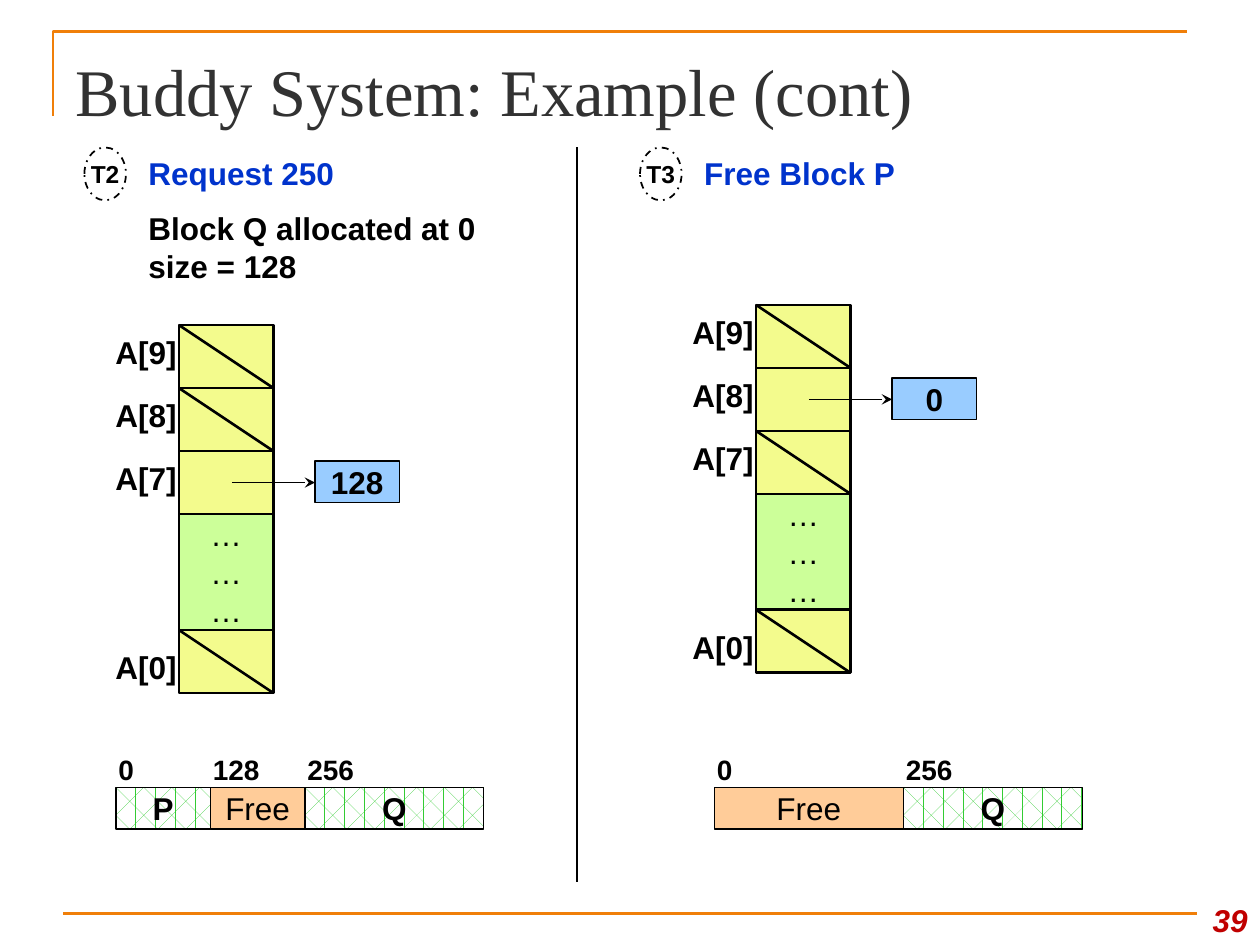
from lxml import etree
from pptx import Presentation
from pptx.dml.color import RGBColor
from pptx.enum.dml import MSO_LINE, MSO_PATTERN
from pptx.enum.shapes import MSO_CONNECTOR, MSO_SHAPE
from pptx.enum.text import MSO_ANCHOR, PP_ALIGN
from pptx.oxml.ns import qn
from pptx.util import Inches, Pt

BLACK = RGBColor(0x00, 0x00, 0x00)
WHITE = RGBColor(0xFF, 0xFF, 0xFF)
ORANGE = RGBColor(0xF0, 0x7F, 0x09)
TITLE_GRAY = RGBColor(0x32, 0x32, 0x32)
NUMBER_RED = RGBColor(0xC0, 0x00, 0x00)
EVENT_BLUE = RGBColor(0x00, 0x33, 0xCC)
CELL_YELLOW = RGBColor(0xF3, 0xFB, 0x8D)
GAP_GREEN = RGBColor(0xCC, 0xFF, 0x99)
BLOCK_BLUE = RGBColor(0x99, 0xCC, 0xFF)
FREE_PEACH = RGBColor(0xFF, 0xCC, 0x99)
USED_GREEN = RGBColor(0x33, 0xCC, 0x33)

RECTANGLE, OVAL = MSO_SHAPE.RECTANGLE, MSO_SHAPE.OVAL
STRAIGHT = MSO_CONNECTOR.STRAIGHT
DASH_DOT = MSO_LINE.DASH_DOT
DIVOT = MSO_PATTERN.DIVOT
TOP, MIDDLE, BOTTOM = MSO_ANCHOR.TOP, MSO_ANCHOR.MIDDLE, MSO_ANCHOR.BOTTOM
LEFT, CENTER, RIGHT = PP_ALIGN.LEFT, PP_ALIGN.CENTER, PP_ALIGN.RIGHT

CELL_WIDTH, CELL_HEIGHT = 0.75, 0.5
LABEL_HEIGHT = 0.42
BLOCK_HEIGHT = 0.33
MEMORY_TOP = 6.25


def style_paragraph(paragraph, size, color=BLACK, bold=True, align=LEFT, font_name="Arial"):
    """Set the alignment and font of a paragraph."""
    paragraph.alignment = align
    font = paragraph.font
    font.name, font.size, font.bold = font_name, Pt(size), bold
    font.color.rgb = color


def add_text(slide, box, lines, size=18, align=LEFT, anchor=TOP):
    """Add a wrapping text box from (text, color) lines and return its paragraphs."""
    frame = slide.shapes.add_textbox(*map(Inches, box)).text_frame
    frame.word_wrap = True
    frame.vertical_anchor = anchor
    for index, (text, color) in enumerate(lines):
        paragraph = frame.add_paragraph() if index else frame.paragraphs[0]
        paragraph.text = text
        style_paragraph(paragraph, size, color, align=align)
        if index:
            paragraph.space_before = Pt(10)
    return frame.paragraphs


def add_block(slide, box, fill, text="", size=18, bold=True, width=0.75, kind=RECTANGLE):
    """Add an outlined shape with centred text."""
    shape = slide.shapes.add_shape(kind, *map(Inches, box))
    shape.shadow.inherit = False
    shape.fill.solid()
    shape.fill.fore_color.rgb = fill
    shape.line.color.rgb = BLACK
    shape.line.width = Pt(width)
    if text:
        frame = shape.text_frame
        frame.word_wrap = False
        frame.vertical_anchor = MIDDLE
        frame.paragraphs[0].text = text
        style_paragraph(frame.paragraphs[0], size, bold=bold, align=CENTER)
    return shape


def add_line(slide, start, end, width=0.75, color=BLACK, arrow=False):
    """Add a straight line, with an arrowhead at its end if asked."""
    line = slide.shapes.add_connector(STRAIGHT, *map(Inches, (*start, *end)))
    line.line.color.rgb = color
    line.line.width = Pt(width)
    if arrow:
        etree.SubElement(line.line._get_or_add_ln(), qn("a:tailEnd"), type="stealth")
    etree.SubElement(line._element.spPr, qn("a:effectLst"))


def add_frame(slide):
    """Add the corner rule, the bottom rule and the slide number."""
    builder = slide.shapes.build_freeform(Inches(0.42), Inches(0.92), scale=1.0)
    corner = [(Inches(0.42), Inches(0.25)), (Inches(9.42), Inches(0.25))]
    builder.add_line_segments(corner, close=False)
    rule = builder.convert_to_shape()
    rule.shadow.inherit = False
    rule.fill.background()
    rule.line.color.rgb = ORANGE
    rule.line.width = Pt(1.5)
    add_line(slide, (0.5, 7.25), (9.5, 7.25), 1.5, ORANGE)
    number = add_text(slide, (9.42, 7, 0.58, 0.5), [("39", NUMBER_RED)], align=RIGHT, anchor=BOTTOM)
    number[0].font.italic = True


def add_title(slide, text):
    """Place and format the title."""
    title = slide.shapes.title
    title.left, title.top, title.width, title.height = map(Inches, (0.5, 0.3, 9, 0.78))
    title.text_frame.text = text
    title.text_frame.vertical_anchor = BOTTOM
    style_paragraph(title.text_frame.paragraphs[0], 38, TITLE_GRAY, False,
                    font_name="Times New Roman")


def add_event(slide, left, step, lines, height):
    """Add a step marker and the description of its event."""
    marker = add_block(slide, (left, 1.17, 0.33, 0.42), WHITE, step, 14, width=1, kind=OVAL)
    marker.line.dash_style = DASH_DOT
    add_text(slide, (left + 0.41, 1.17, 3.75, height), lines)


def add_free_lists(slide, left, top, used_name, address):
    """Add the array of free lists, where one entry points to a block."""
    add_block(slide, (left, top + 1.5, CELL_WIDTH, 0.92), GAP_GREEN, "…\n…\n…",
              bold=False, width=1.5)
    entries = [("A[9]", 0, 0), ("A[8]", 0.5, 0.5), ("A[7]", 1, 1), ("A[0]", 2.42, 2.5)]
    for name, cell_offset, label_offset in entries:
        y = top + cell_offset
        add_block(slide, (left, y, CELL_WIDTH, CELL_HEIGHT), CELL_YELLOW, width=1.5)
        add_text(slide, (left - 0.67, top + label_offset, CELL_WIDTH, LABEL_HEIGHT),
                 [(name, BLACK)], align=RIGHT, anchor=MIDDLE)
        if name == used_name:
            middle = y + CELL_HEIGHT / 2
            add_line(slide, (left + 0.42, middle), (left + 1.08, middle), arrow=True)
            add_block(slide, (left + 1.08, y + 0.08, 0.67, BLOCK_HEIGHT), BLOCK_BLUE, address)
        else:
            add_line(slide, (left, y), (left + CELL_WIDTH, y + CELL_HEIGHT), 1.5)


def add_memory(slide, left, blocks):
    """Add the row of memory blocks with their start addresses."""
    for address, name, width in blocks:
        is_free = name == "Free"
        block = add_block(slide, (left, MEMORY_TOP, width, BLOCK_HEIGHT), FREE_PEACH,
                          name, bold=not is_free)
        if not is_free:
            block.fill.patterned()
            block.fill.pattern = DIVOT
            block.fill.fore_color.rgb = USED_GREEN
            block.fill.back_color.rgb = WHITE
        add_text(slide, (left - 0.08, 5.92, 0.75, 0.37), [(address, BLACK)], 16)
        left += width


def main():
    """Build the slide and save it."""
    presentation = Presentation()
    presentation.slide_width, presentation.slide_height = Inches(10), Inches(7.5)
    slide = presentation.slides.add_slide(presentation.slide_layouts[5])
    add_frame(slide)
    add_title(slide, "Buddy System: Example (cont)")
    add_line(slide, (4.58, 1.17), (4.58, 7))

    request = [("Request 250", EVENT_BLUE), ("Block Q allocated at 0\nsize = 128", BLACK)]
    add_event(slide, 0.67, "T2", request, 1.15)
    add_free_lists(slide, 1.42, 2.58, "A[7]", "128")
    add_memory(slide, 0.92, [("0", "P", 0.75), ("128", "Free", 0.75), ("256", "Q", 1.42)])

    add_event(slide, 5.08, "T3", [("Free Block P", EVENT_BLUE)], 0.4)
    add_free_lists(slide, 6, 2.42, "A[8]", "0")
    add_memory(slide, 5.67, [("0", "Free", 1.5), ("256", "Q", 1.42)])
    presentation.save("out.pptx")


if __name__ == "__main__":
    main()
